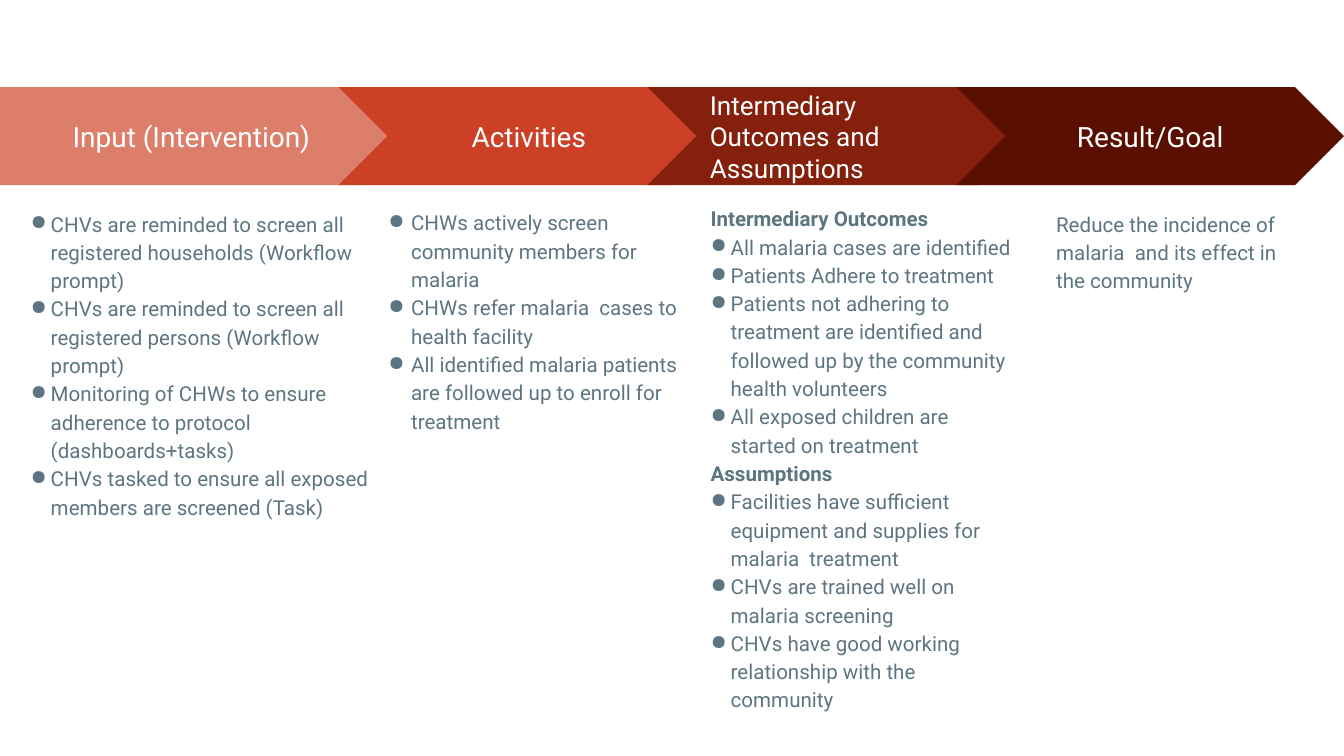
from lxml.etree import SubElement
from pptx import Presentation
from pptx.dml.color import RGBColor
from pptx.enum.shapes import MSO_SHAPE as Shape
from pptx.enum.text import MSO_ANCHOR as Anchor, PP_ALIGN as Align
from pptx.oxml.ns import qn
from pptx.util import Cm, Pt

COLORS = {
    "input": "DD7E6B",
    "activities": "CC4125",
    "outcomes": "85200C",
    "result": "5B0F00",
    "white": "FFFFFF",
    "body": "5D7581",
}
FONT = "Roboto"
INSET = Cm(0.25)
BANNER_TOP, BANNER_HEIGHT = 1.65, 1.85
CHEVRON_LEFT, CHEVRON_STEP = 6.4, 5.84

# Label, colour, width in cm, font size, alignment
STAGES = [
    ("Input (Intervention)", "input", 7.7, 15, Align.CENTER),
    ("Activities", "activities", 7.19, 15, Align.CENTER),
    ("Intermediary Outcomes and Assumptions", "outcomes", 7.19, 14, Align.LEFT),
    ("Result/Goal", "result", 7.32, 15, Align.CENTER),
]

# Box in cm, (left margin, hanging indent) in cm, (style, text) paragraphs
COLUMNS = [
    ((0.33, 3.68, 6.99, 9.53), (0.38, 0.38), [
        ("bullet", "CHVs are reminded to screen all registered households (Workflow prompt)"),
        ("bullet", "CHVs are reminded to screen all registered persons (Workflow prompt)"),
        ("bullet", "Monitoring of CHWs to ensure adherence to protocol (dashboards+tasks)"),
        ("bullet", "CHVs tasked to ensure all exposed members are screened (Task)"),
    ]),
    ((7.04, 3.66, 6.05, 5.03), (0.48, 0.43), [
        ("bullet", "CHWs actively screen community members for malaria"),
        ("bullet", "CHWs refer malaria  cases to health facility"),
        ("bullet", "All identified malaria patients are followed up to enroll for treatment"),
    ]),
    ((13.18, 3.58, 6.25, 10.29), (0.38, 0.38), [
        ("heading", "Intermediary Outcomes"),
        ("bullet", "All malaria cases are identified"),
        ("bullet", "Patients Adhere to treatment"),
        ("bullet", "Patients not adhering to treatment are identified and followed up "
                   "by the community health volunteers"),
        ("bullet", "All exposed children are started on treatment"),
        ("heading", "Assumptions"),
        ("bullet", "Facilities have sufficient equipment and supplies for malaria  treatment"),
        ("bullet", "CHVs are trained well on malaria screening"),
        ("bullet", "CHVs have good working relationship with the community"),
    ]),
    ((19.71, 3.68, 4.75, 7.26), (0, 0), [
        ("plain", "Reduce the incidence of malaria  and its effect in the community"),
    ]),
]


def rgb(name):
    return RGBColor.from_string(COLORS[name])


def format_frame(frame, anchor):
    settings = {"word_wrap": True, "vertical_anchor": anchor}
    for side in ("left", "top", "right", "bottom"):
        settings[f"margin_{side}"] = INSET
    for name, value in settings.items():
        setattr(frame, name, value)


def write_text(paragraph, text, size, color, bold=False):
    run = paragraph.add_run()
    run.text = text
    for name, value in {"name": FONT, "size": Pt(size), "bold": bold}.items():
        setattr(run.font, name, value)
    run.font.color.rgb = rgb(color)


def add_bullet(paragraph, margin, hanging):
    properties = paragraph._p.get_or_add_pPr()
    properties.set("marL", str(Cm(margin)))
    properties.set("indent", str(-Cm(hanging)))
    SubElement(properties, qn("a:buChar")).set("char", "●")


def add_stage(slide, index, label, color, width, size, alignment):
    """Add one banner arrow; the first has a flat left side."""
    kind = Shape.CHEVRON if index else Shape.PENTAGON
    left = CHEVRON_LEFT + CHEVRON_STEP * (index - 1) if index else 0
    shape = slide.shapes.add_shape(
        kind, Cm(left), Cm(BANNER_TOP), Cm(width), Cm(BANNER_HEIGHT))
    shape.adjustments[0] = 0.5
    shape.shadow.inherit = False
    shape.fill.solid()
    shape.fill.fore_color.rgb = rgb(color)
    shape.line.fill.background()
    format_frame(shape.text_frame, Anchor.MIDDLE)
    paragraph = shape.text_frame.paragraphs[0]
    paragraph.alignment = alignment
    write_text(paragraph, label, size, "white")


def add_column(slide, box, indent, entries):
    frame = slide.shapes.add_textbox(*map(Cm, box)).text_frame
    format_frame(frame, Anchor.TOP)
    for index, (style, text) in enumerate(entries):
        paragraph = frame.add_paragraph() if index else frame.paragraphs[0]
        paragraph.line_spacing = 1.15
        if style == "bullet":
            add_bullet(paragraph, *indent)
        write_text(paragraph, text, 11, "body", bold=style == "heading")


def main():
    presentation = Presentation()
    presentation.slide_width, presentation.slide_height = Cm(25.4), Cm(14.29)
    slide = presentation.slides.add_slide(presentation.slide_layouts[6])
    for index, (stage, column) in enumerate(zip(STAGES, COLUMNS)):
        add_stage(slide, index, *stage)
        add_column(slide, *column)
    presentation.save("out.pptx")


if __name__ == "__main__":
    main()
